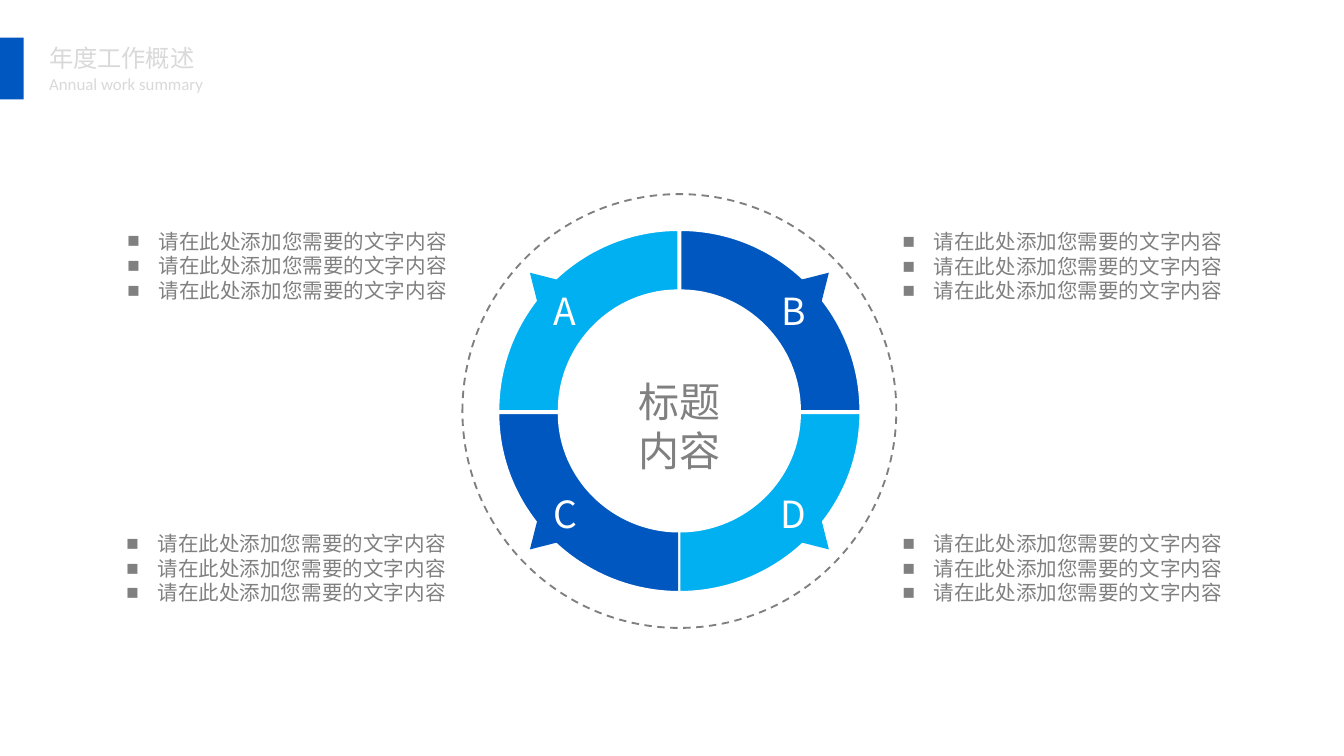
from collections import namedtuple

from lxml.etree import SubElement
from pptx import Presentation
from pptx.dml.color import RGBColor
from pptx.enum.dml import MSO_LINE
from pptx.enum.shapes import MSO_SHAPE as Shape
from pptx.enum.text import MSO_ANCHOR as Anchor, MSO_AUTO_SIZE as AutoSize, PP_ALIGN as Align
from pptx.oxml.ns import qn
from pptx.util import Cm, Pt

Box = namedtuple("Box", "left top width height")

CJK_FONT, LATIN_FONT = "Noto Sans CJK SC", "Calibri"
DARK_BLUE, LIGHT_BLUE, WHITE = "0057C0", "00B0F0", "FFFFFF"
TEXT_GREY, RING_GREY, HEADER_GREY = "808080", "7F7F7F", "D9D9D9"
BULLET_TEXT = "请在此处添加您需要的文字内容"
ARC_HANDLE = 0.55  # length of a quarter arc's control handle, in radii


def color(hex_value):
    return RGBColor.from_string(hex_value)


def paint(shape, fill=None, line=None):
    """Give a shape flat colours; None leaves the fill or line out."""
    shape.shadow.inherit = False
    if fill:
        shape.fill.solid()
        shape.fill.fore_color.rgb = color(fill)
    else:
        shape.fill.background()
    if line:
        shape.line.color.rgb = color(line)
        shape.line.width = Pt(1)
    else:
        shape.line.fill.background()


def write(frame, lines, size, hex_value, align=Align.LEFT, font=CJK_FONT, bullet=None):
    frame.text = "\n".join(lines)
    for para in frame.paragraphs:
        para.alignment = align
        if bullet:
            add_bullet(para, bullet)
        for span in para.runs:
            span.font.size = Pt(size)
            span.font.color.rgb = color(hex_value)
            span.font.name = font
            SubElement(span.font._element, qn("a:ea"), typeface=font)


def add_bullet(para, char):
    props = para._p.get_or_add_pPr()
    props.set("marL", str(Cm(0.59)))
    props.set("indent", str(-Cm(0.59)))
    SubElement(props, qn("a:buFont"), typeface="Arial")
    SubElement(props, qn("a:buChar"), char=char)


def set_margins(frame, left, top, right, bottom):
    frame.margin_left, frame.margin_top = Cm(left), Cm(top)
    frame.margin_right, frame.margin_bottom = Cm(right), Cm(bottom)


def add_text(page, box, lines, size, hex_value, wrap=True, **style):
    frame = page.shapes.add_textbox(*map(Cm, box)).text_frame
    frame.word_wrap = wrap
    frame.auto_size = AutoSize.SHAPE_TO_FIT_TEXT
    set_margins(frame, 0.2, 0.1, 0.2, 0.1)
    write(frame, lines, size, hex_value, **style)


def add_header(page, box):
    marker = page.shapes.add_shape(
        Shape.RECTANGLE, Cm(box.left), Cm(box.top), Cm(0.45), Cm(box.height))
    paint(marker, DARK_BLUE)
    text_left = box.left + 0.73
    add_text(page, Box(text_left, box.top, 3.18, 0.74), ["年度工作概述"],
             13, HEADER_GREY, wrap=False)
    add_text(page, Box(text_left, box.top + 0.59, 3.33, 0.58), ["Annual work summary"],
             9, HEADER_GREY, wrap=False, font=LATIN_FONT)


def add_freeform(page, box, steps):
    """Draw a curved outline; steps pair a path command with points inside the box."""
    left, top, right, bottom = map(
        Cm, (box.left, box.top, box.left + box.width, box.top + box.height))
    builder = page.shapes.build_freeform(left, top)
    builder.add_line_segments([(right, top), (right, bottom), (left, bottom)])
    shape = builder.convert_to_shape()
    path = next(shape._element.iter(qn("a:path")))
    for child in list(path):
        path.remove(child)
    for command, points in steps:
        step = SubElement(path, qn(f"a:{command}"))
        for x, y in points:
            SubElement(step, qn("a:pt"), x=str(Cm(x)), y=str(Cm(y)))
    SubElement(path, qn("a:close"))
    return shape


def add_sector(page, box, side, level, letter, fill):
    """Draw a quarter ring; side is -1 left or 1 right, level is -1 top or 1 bottom."""
    gap_x, gap_y = (0.02, 0) if level < 0 else (0, 0.04)
    outer, inner = box.width / 2, box.width / 2 - 1.14

    def place(radius, across, down):
        return (box.width / 2 + side * (gap_x + (radius - gap_x) * across),
                box.height / 2 + level * (gap_y + (radius - gap_y) * down))

    sector = add_freeform(page, box, [
        ("moveTo", [place(outer, 1, 0)]),
        ("cubicBezTo", [place(outer, 1, ARC_HANDLE), place(outer, ARC_HANDLE, 1),
                        place(outer, 0, 1)]),
        ("lnTo", [place(inner, 0, 1)]),
        ("cubicBezTo", [place(inner, ARC_HANDLE, 1), place(inner, 1, ARC_HANDLE),
                        place(inner, 1, 0)]),
    ])
    paint(sector, fill, WHITE)
    text_area = next(sector._element.iter(qn("a:rect")))
    text_area.set("r" if side < 0 else "l", "hc")
    text_area.set("b" if level < 0 else "t", "vc")
    frame = sector.text_frame
    frame.word_wrap = True
    frame.vertical_anchor = Anchor.MIDDLE
    set_margins(frame, 0.89 if side > 0 else 0, 0.46 if level > 0 else 0.1,
                0.89 if side < 0 else 0, 0.46 if level < 0 else 0)
    write(frame, [letter], 20, WHITE, Align.CENTER)


def add_pointer(page, center, side, level, fill):
    width, height = 0.69, 0.58
    pointer = page.shapes.add_shape(
        Shape.ISOSCELES_TRIANGLE,
        Cm(center[0] + side * 2.62 - width / 2), Cm(center[1] + level * 2.41 - height / 2),
        Cm(width), Cm(height))
    pointer.rotation = side * (90 + level * 45) % 360
    paint(pointer, fill)


def add_wheel(page, box):
    center = box.left + box.width / 2, box.top + box.height / 2
    disc = Box(center[0] - 3.42, center[1] - 3.42, 6.84, 6.84)
    sectors = [(-1, -1, "A", LIGHT_BLUE), (1, -1, "B", DARK_BLUE),
               (-1, 1, "C", DARK_BLUE), (1, 1, "D", LIGHT_BLUE)]
    for side, level, letter, fill in sectors:
        add_sector(page, disc, side, level, letter, fill)
    for side, level, letter, fill in sectors:
        add_pointer(page, center, side, level, fill)
    ring = page.shapes.add_shape(Shape.OVAL, *map(Cm, box))
    paint(ring, line=RING_GREY)
    ring.line.dash_style = MSO_LINE.DASH
    add_text(page, Box(center[0] - 2.04, center[1] - 0.75, 4.1, 2.13),
             ["标题", "内容"], 22, TEXT_GREY, align=Align.CENTER)


def add_bullets(page, box):
    add_text(page, box, [BULLET_TEXT] * 3, 11, TEXT_GREY, align=Align.RIGHT, bullet="■")


def main():
    deck = Presentation()
    deck.slide_width, deck.slide_height = Cm(25.4), Cm(14.29)
    page = deck.slides.add_slide(deck.slide_layouts[6])
    add_header(page, Box(0, 0.71, 4.07, 1.17))
    add_wheel(page, Box(8.74, 3.67, 8.2, 8.2))
    for left, top in ((0.88, 4.22), (0.86, 9.94), (15.53, 9.94), (15.53, 4.23)):
        add_bullets(page, Box(left, top, 7.77, 1.65))
    deck.save("out.pptx")


if __name__ == "__main__":
    main()
